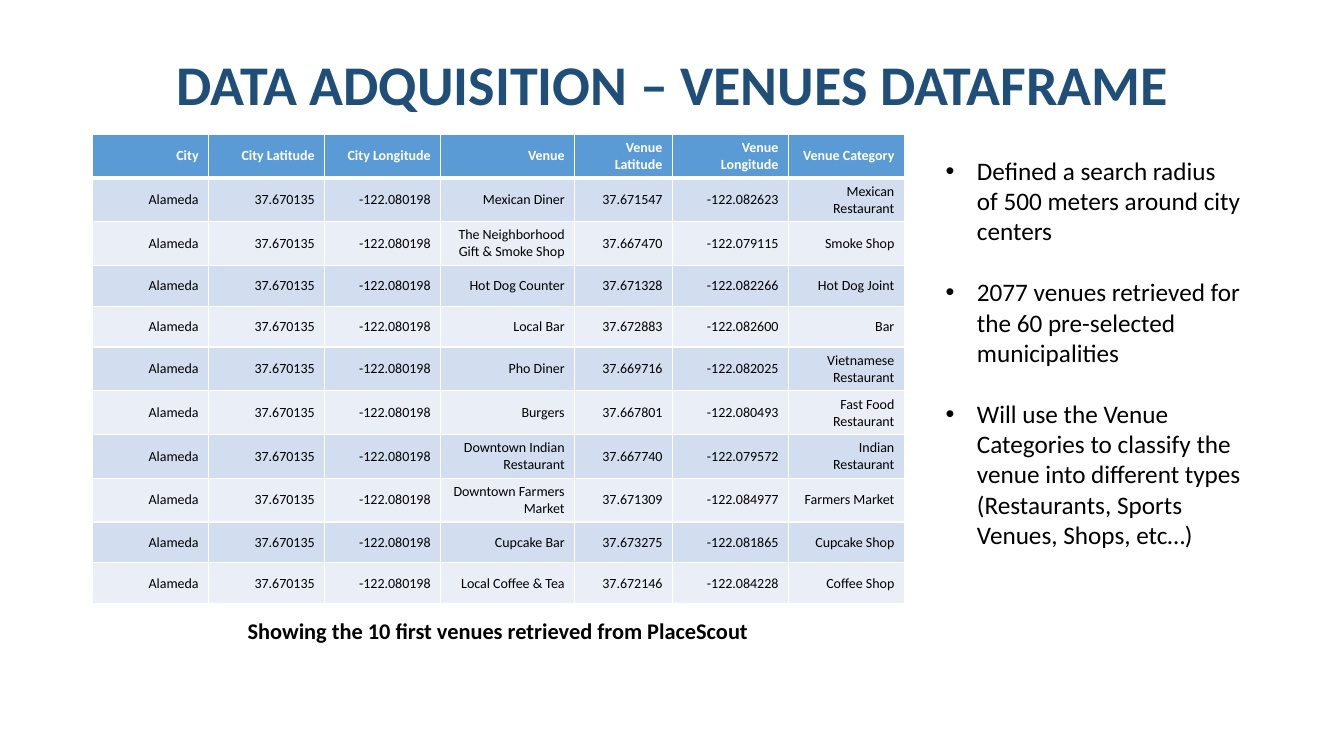
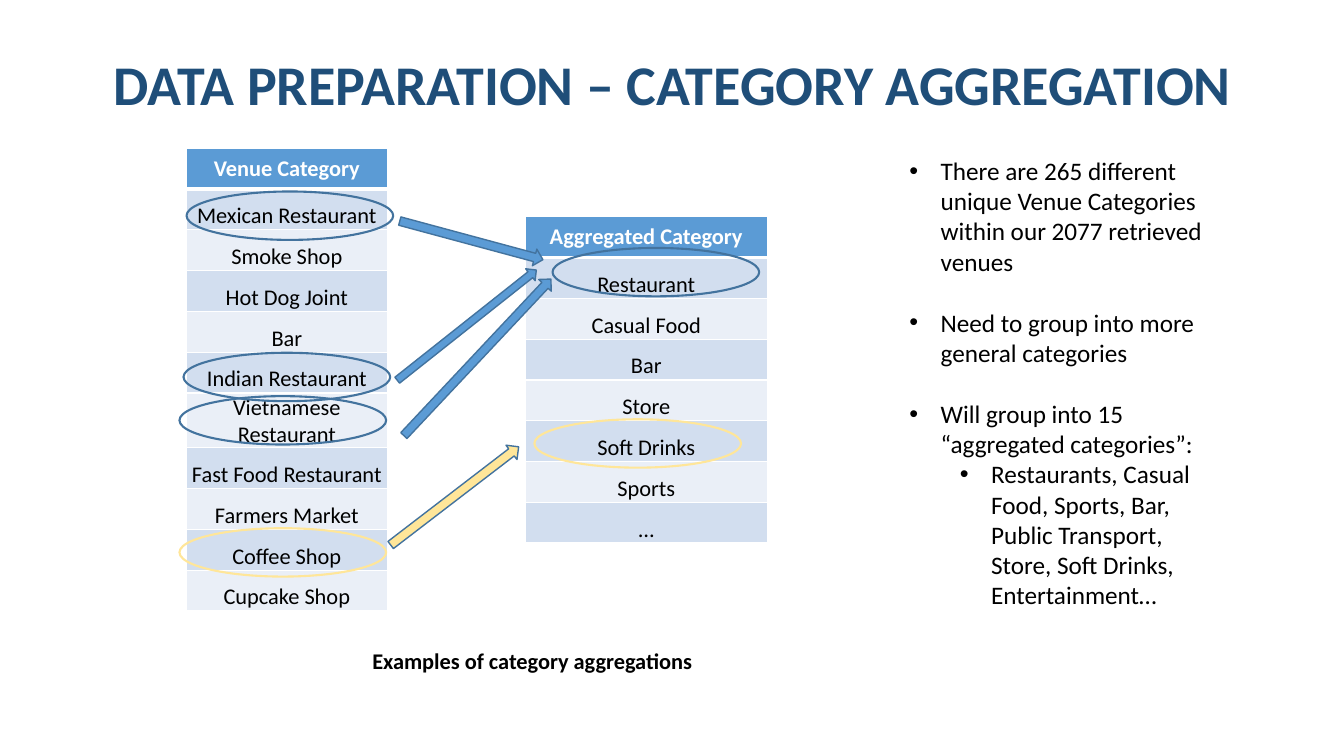
from dataclasses import dataclass

from lxml import etree
from pptx import Presentation
from pptx.dml.color import RGBColor
from pptx.enum.shapes import MSO_SHAPE as Shape
from pptx.enum.text import MSO_ANCHOR as Anchor, MSO_AUTO_SIZE as AutoSize, PP_ALIGN as Align
from pptx.oxml.ns import qn
from pptx.util import Inches, Pt


@dataclass(frozen=True)
class Theme:
    font: str = "Calibri"
    title_color: str = "1F4E79"
    text: str = "000000"
    white: str = "FFFFFF"
    accent: str = "5B9BD5"
    outline: str = "43739E"
    highlight: str = "FFE699"
    bands: tuple = ("D2DEEF", "EAEFF7")
    title_size: int = 40
    list_size: int = 18
    caption_size: int = 16
    data_size: int = 10
    category_size: int = 16


THEME = Theme()
TITLE_BOX = (0.92, 0.4, 11.5, 0.93)
RING_SIZE = (2.05, 0.48)
ROW_HEIGHT = 3.24 / 8

VENUE_HEADER = ["City", "City Latitude", "City Longitude", "Venue",
                "Venue Latitude", "Venue Longitude", "Venue Category"]
VENUE_WIDTHS = [1.15, 1.15, 1.15, 1.33, 0.97, 1.15, 1.15]
CITY = ["Alameda", "37.670135", "-122.080198"]
VENUES = [
    ["Mexican Diner", "37.671547", "-122.082623", "Mexican Restaurant"],
    ["The Neighborhood Gift & Smoke Shop", "37.667470", "-122.079115", "Smoke Shop"],
    ["Hot Dog Counter", "37.671328", "-122.082266", "Hot Dog Joint"],
    ["Local Bar", "37.672883", "-122.082600", "Bar"],
    ["Pho Diner", "37.669716", "-122.082025", "Vietnamese Restaurant"],
    ["Burgers", "37.667801", "-122.080493", "Fast Food Restaurant"],
    ["Downtown Indian Restaurant", "37.667740", "-122.079572", "Indian Restaurant"],
    ["Downtown Farmers Market", "37.671309", "-122.084977", "Farmers Market"],
    ["Cupcake Bar", "37.673275", "-122.081865", "Cupcake Shop"],
    ["Local Coffee & Tea", "37.672146", "-122.084228", "Coffee Shop"],
]
VENUE_POINTS = [
    (0, "Defined a search radius of 500 meters around city centers"),
    (0, "2077 venues retrieved for the 60 pre-selected municipalities"),
    (0, "Will use the Venue Categories to classify the venue into different types "
        "(Restaurants, Sports Venues, Shops, etc…)"),
]

CATEGORIES = ["Venue Category", "Mexican Restaurant", "Smoke Shop", "Hot Dog Joint", "Bar",
              "Indian Restaurant", "Vietnamese Restaurant", "Fast Food Restaurant",
              "Farmers Market", "Coffee Shop", "Cupcake Shop"]
AGGREGATES = ["Aggregated Category", "Restaurant", "Casual Food", "Bar", "Store",
              "Soft Drinks", "Sports", "…"]
CATEGORY_POINTS = [
    (0, "There are 265 different unique Venue Categories within our 2077 retrieved venues"),
    (0, "Need to group into more general categories"),
    (0, "Will group into 15 “aggregated categories”:"),
    (1, "Restaurants, Casual Food, Sports, Bar, Public Transport, Store, Soft Drinks, "
        "Entertainment…"),
]

# Offsets inside the aggregation diagram: left, top, width, height, rotation, fill
ARROWS = [
    (2.16, 0.83, 1.47, 0.17, 15.1, THEME.accent),
    (1.97, 1.68, 1.76, 0.15, 321.6, THEME.accent),
    (1.89, 1.99, 2.13, 0.17, 313.2, THEME.accent),
    (1.93, 3.36, 1.6, 0.18, 322.5, THEME.highlight),
]
# Offsets inside the aggregation diagram: left, top, outline
RINGS = [
    (0.07, 0.43, THEME.outline),
    (0.04, 2.03, THEME.outline),
    (0, 2.46, THEME.outline),
    (3.7, 0.99, THEME.outline),
    (0, 3.77, THEME.highlight),
    (3.52, 2.69, THEME.highlight),
]


def rgb(color):
    return RGBColor.from_string(color)


def format_font(paragraph, size, color, bold=False):
    font = paragraph.font
    font.name, font.size, font.bold = THEME.font, Pt(size), bold
    font.color.rgb = rgb(color)


def place(shape, box):
    shape.left, shape.top, shape.width, shape.height = map(Inches, box)


def add_title(slide, text):
    title = slide.shapes.title
    place(title, TITLE_BOX)
    frame = title.text_frame
    frame.text = text
    frame.auto_size = AutoSize.NONE
    frame.vertical_anchor = Anchor.MIDDLE
    heading = frame.paragraphs[0]
    heading.alignment, heading.line_spacing = Align.CENTER, 0.9
    format_font(heading, THEME.title_size, THEME.title_color, True)


def add_bullets(slide, box, points):
    body = slide.placeholders[1]
    place(body, box)
    frame = body.text_frame
    frame.auto_size = AutoSize.NONE
    frame.vertical_anchor = Anchor.TOP
    for index, (level, text) in enumerate(points):
        point = frame.paragraphs[0] if index == 0 else frame.add_paragraph()
        point.text, point.level = text, level
        props = point._p.get_or_add_pPr()
        props.set("marL", str(Inches(0.31 + 0.5 * level)))
        props.set("indent", str(Inches(-0.31)))
        etree.SubElement(props, qn("a:buFont"), typeface="Arial")
        etree.SubElement(props, qn("a:buChar"), char="•")
        # A whole line separates top-level points; sub-points follow directly
        point.space_before = Pt(22 if index and level == 0 else 0)
        format_font(point, THEME.list_size, THEME.text)


def add_caption(slide, box, text):
    frame = slide.shapes.add_textbox(*map(Inches, box)).text_frame
    frame.word_wrap = True
    frame.text = text
    caption = frame.paragraphs[0]
    caption.alignment = Align.CENTER
    format_font(caption, THEME.caption_size, THEME.text, True)


def style_borders(cell, row):
    widths = {"lnL": 1, "lnR": 1, "lnT": 3 if row == 1 else 1, "lnB": 3 if row == 0 else 1}
    for side, width in widths.items():
        line = etree.SubElement(cell._tc.get_or_add_tcPr(), qn(f"a:{side}"), w=str(Pt(width)))
        fill = etree.SubElement(line, qn("a:solidFill"))
        etree.SubElement(fill, qn("a:srgbClr"), val=THEME.white)


def add_banded_table(slide, left, top, widths, rows, size, align, tight=False):
    box = (left, top, sum(widths), ROW_HEIGHT * len(rows))
    table = slide.shapes.add_table(len(rows), len(widths), *map(Inches, box)).table
    for column, width in zip(table.columns, widths):
        column.width = Inches(width)
    for r, values in enumerate(rows):
        header = r == 0
        table.rows[r].height = Inches(ROW_HEIGHT)
        for c, value in enumerate(values):
            cell = table.cell(r, c)
            style_borders(cell, r)
            cell.fill.solid()
            cell.fill.fore_color.rgb = rgb(THEME.accent if header else THEME.bands[(r - 1) % 2])
            cell.vertical_anchor = Anchor.MIDDLE
            if tight and not header:
                cell.vertical_anchor = Anchor.BOTTOM
                cell.margin_left = cell.margin_right = cell.margin_top = Inches(0.01)
                cell.margin_bottom = 0
            cell.text = value
            entry = cell.text_frame.paragraphs[0]
            entry.alignment = align
            format_font(entry, size, THEME.white if header else THEME.text, header)


def add_mark(slide, kind, box, outline, weight, fill=None, rotation=0):
    mark = slide.shapes.add_shape(kind, *map(Inches, box))
    mark.shadow.inherit = False
    mark.rotation = rotation
    mark.line.color.rgb, mark.line.width = rgb(outline), Pt(weight)
    if fill:
        mark.fill.solid()
        mark.fill.fore_color.rgb = rgb(fill)
    else:
        mark.fill.background()


def add_aggregation_diagram(slide, left, top):
    # Source and target categories
    for dx, dy, width, names in [(0.07, 0, 1.99, CATEGORIES), (3.43, 0.68, 2.4, AGGREGATES)]:
        add_banded_table(slide, left + dx, top + dy, [width], [[name] for name in names],
                         THEME.category_size, Align.CENTER, tight=True)
    # Arrows and rings linking the grouped categories
    for dx, dy, width, height, rotation, fill in ARROWS:
        add_mark(slide, Shape.RIGHT_ARROW, (left + dx, top + dy, width, height),
                 THEME.outline, 1, fill, rotation)
    for dx, dy, outline in RINGS:
        add_mark(slide, Shape.OVAL, (left + dx, top + dy, *RING_SIZE), outline, 1.5)


def add_content_slide(prs, title, points, points_box, caption, caption_box):
    slide = prs.slides.add_slide(prs.slide_layouts[1])
    add_title(slide, title)
    add_bullets(slide, points_box, points)
    add_caption(slide, caption_box, caption)
    return slide


def main():
    prs = Presentation()
    prs.slide_width, prs.slide_height = Inches(13.33), Inches(7.5)

    # Venues dataframe
    venues = add_content_slide(
        prs, "DATA ADQUISITION – VENUES DATAFRAME", VENUE_POINTS, (9.28, 1.49, 3.13, 4.95),
        "Showing the 10 first venues retrieved from PlaceScout", (1.51, 6.07, 6.86, 0.37))
    add_banded_table(venues, 0.92, 1.33, VENUE_WIDTHS,
                     [VENUE_HEADER] + [CITY + venue for venue in VENUES],
                     THEME.data_size, Align.RIGHT)

    # Category aggregation
    aggregation = add_content_slide(
        prs, "DATA PREPARATION – CATEGORY AGGREGATION", CATEGORY_POINTS,
        (8.92, 1.49, 3.13, 5.25), "Examples of category aggregations", (1.85, 6.37, 6.86, 0.37))
    add_aggregation_diagram(aggregation, 1.78, 1.47)

    prs.save("out.pptx")


if __name__ == "__main__":
    main()
